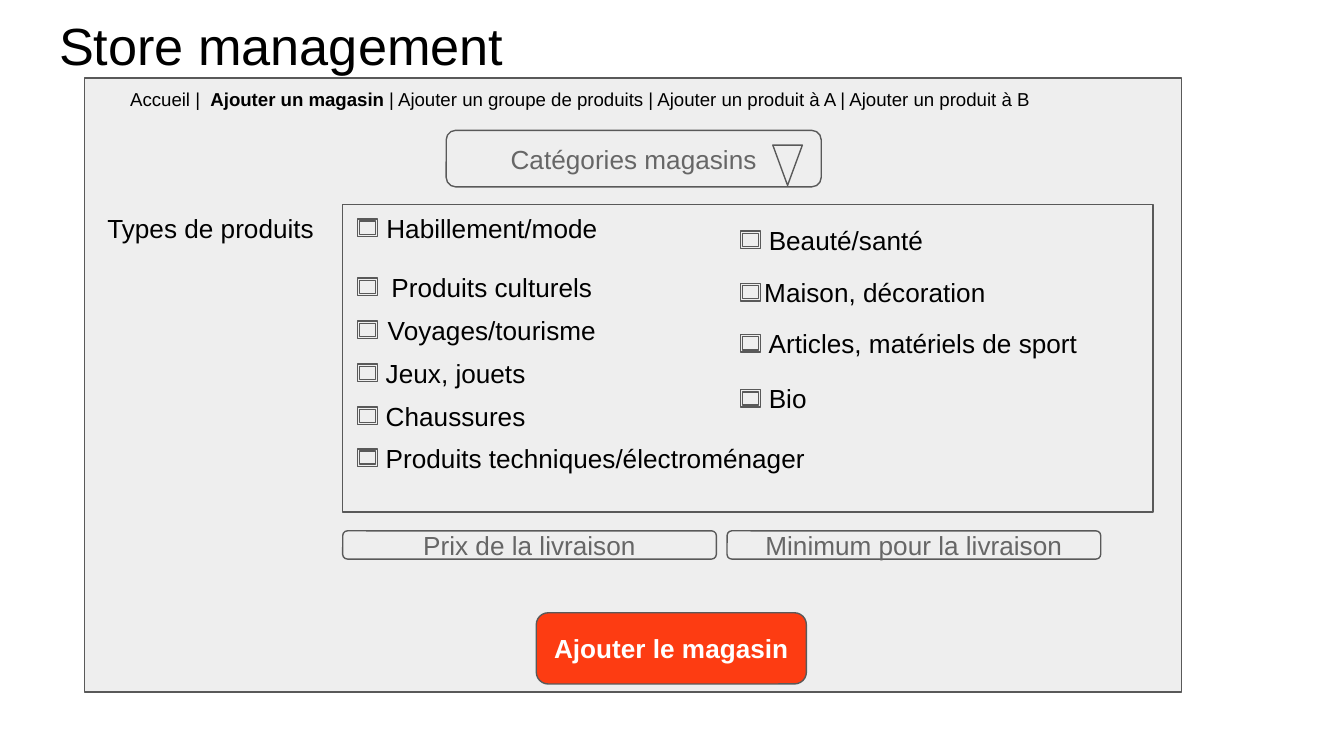
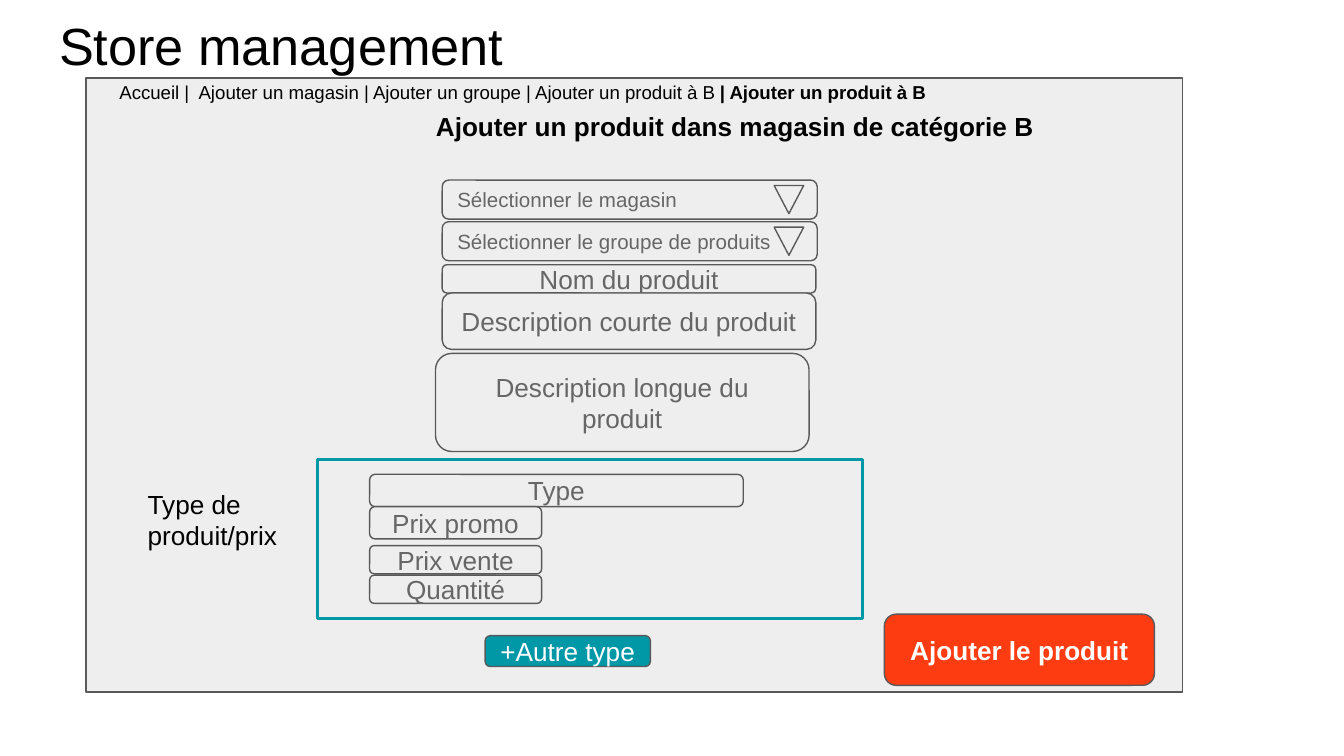
from pptx import Presentation
from pptx.dml.color import RGBColor
from pptx.enum.shapes import MSO_SHAPE as SHAPE
from pptx.enum.text import MSO_ANCHOR as ANCHOR, MSO_AUTO_SIZE as AUTO_SIZE, PP_ALIGN as ALIGN
from pptx.util import Pt

PX = 9144  # 100 px to the inch
WIDTH = 1000
INSET = 10
FONT = "Arial"
COLORS = {
    "text": "000000",
    "hint": "666666",
    "panel": "EEEEEE",
    "line": "595959",
    "action": "FD3C12",
    "accent": "0097A7",
    "white": "FFFFFF",
}


def color(name):
    return RGBColor.from_string(COLORS[name])


def px(*lengths):
    return [n * PX for n in lengths]


def write(shape, text, size=14, fill="text", bold=False, align=ALIGN.LEFT, anchor=ANCHOR.MIDDLE,
          inset=INSET):
    """Fill a shape with text; a list of (text, bold) pairs gives mixed runs."""
    tf = shape.text_frame
    tf.word_wrap = True
    tf.auto_size = AUTO_SIZE.NONE
    tf.vertical_anchor = anchor
    tf.margin_left = inset * PX
    tf.margin_right = tf.margin_top = tf.margin_bottom = INSET * PX
    p = tf.paragraphs[0]
    p.alignment = align
    for part, strong in [(text, bold)] if isinstance(text, str) else text:
        r = p.add_run()
        r.text = part
        r.font.name, r.font.size, r.font.bold = FONT, Pt(size), strong
        r.font.color.rgb = color(fill)


def add_box(s, kind, x, y, w, h, fill="panel", line="line", weight=0.75):
    sp = s.shapes.add_shape(kind, *px(x, y, w, h))
    sp.shadow.inherit = False
    if fill:
        sp.fill.solid()
        sp.fill.fore_color.rgb = color(fill)
    else:
        sp.fill.background()
    sp.line.color.rgb = color(line)
    sp.line.width = Pt(weight)
    return sp


def add_label(s, text, x, y, w, h, **style):
    write(s.shapes.add_textbox(*px(x, y, w, h)), text, **style)


def add_field(s, text, x, y, w, h, background="panel", **style):
    sp = add_box(s, SHAPE.ROUNDED_RECTANGLE, x, y, w, h, fill=background)
    write(sp, text, **{"fill": "hint", "align": ALIGN.CENTER, **style})


def add_dropdown(s, text, x, y, h, arrow, **style):
    """A field with a marker; arrow gives the marker's left, top and height."""
    add_field(s, text, x, y, 279, h, **style)
    left, top, height = arrow
    add_box(s, SHAPE.FLOWCHART_MERGE, x + left, y + top, 22, height)


def add_action(s, text, x, y):
    add_field(s, text, x, y, 201, 53, background="action", fill="white", bold=True)


def add_checkbox(s, text, x, y, w, centered):
    add_box(s, SHAPE.FRAME, x, y, 15, 13)
    add_label(s, text, x + 6, y - 3, w, 19, align=ALIGN.CENTER if centered else ALIGN.LEFT,
              inset=INSET if centered else INSET + 5)


def add_page(prs, x):
    """Start a slide with its title and the grey form panel."""
    s = prs.slides.add_slide(prs.slide_layouts[5])
    title = s.shapes.title
    title.left, title.top, title.width, title.height = px(34, 0, 932, 63)
    write(title, "Store management", size=28, anchor=ANCHOR.TOP)
    add_box(s, SHAPE.RECTANGLE, x, 58, 816, 457)
    return s


def product_types(s, x, y):
    add_box(s, SHAPE.RECTANGLE, x, y, 603, 229)
    columns = {
        11: [("Habillement/mode", 11, 188, True),
             ("Produits culturels", 55, 188, True),
             ("Voyages/tourisme", 87, 188, True),
             ("Jeux, jouets", 119, 188, False),
             ("Chaussures", 151, 188, False),
             ("Produits techniques/électroménager", 182, 388, False)],
        296: [("Beauté/santé", 20, 188, False),
              ("Maison, décoration", 59, 188, True),
              ("Articles, matériels de sport", 97, 287, False),
              ("Bio", 138, 188, False)],
    }
    for dx, items in columns.items():
        for text, dy, w, centered in items:
            add_checkbox(s, text, x + dx, y + dy, w, centered)


def product_details(s, x, y):
    for row, text in enumerate(["Sélectionner le magasin", "Sélectionner le groupe de produits"]):
        add_dropdown(s, text, x, y + 31 * row, 29, (247, 4, 21), size=11, align=ALIGN.LEFT)
    for text, dx, dy, h in [("Nom du produit", 0, 63, 21),
                            ("Description courte du produit", 0, 84, 42),
                            ("Description longue du produit", -5, 129, 73)]:
        add_field(s, text, x + dx, y + dy, 278, h)


def price_block(s, x, y):
    add_box(s, SHAPE.RECTANGLE, x, y, 406, 118, fill=None, line="accent", weight=1.5)
    for text, dy, w, h in [("Type", 11, 278, 24), ("Prix promo", 35, 128, 24),
                           ("Prix vente", 64, 128, 21), ("Quantité", 86, 128, 21)]:
        add_field(s, text, x + 39, y + dy, w, h)
    add_field(s, "+Autre type", x + 125, y + 131, 123, 23, background="accent", fill="white")


def store_slide(prs, x=63, y=58):
    s = add_page(prs, x)
    add_label(s, [("Accueil |  ", False), ("Ajouter un magasin", True),
                  (" | Ajouter un groupe de produits | Ajouter un produit à A"
                   " | Ajouter un produit à B", False)],
              x + 24, y + 1, 788, 29, size=10)
    add_dropdown(s, "Catégories magasins", x + 269, y + 39, 42, (243, 11, 30))
    add_label(s, "Types de produits", x + 7, y + 90, 197, 42, anchor=ANCHOR.TOP)
    product_types(s, x + 192, y + 94)
    for col, text in enumerate(["Prix de la livraison", "Minimum pour la livraison"]):
        add_field(s, text, x + 192 + 286 * col, y + 337, 278, 21)
    add_action(s, "Ajouter le magasin", x + 336, y + 398)


def product_slide(prs, x=64, y=58):
    s = add_page(prs, x)
    add_label(s, [("Accueil |  Ajouter un magasin | Ajouter un groupe | Ajouter un produit à B", False),
                  (" | Ajouter un produit à B", True)],
              x + 15, y, 796, 21, size=10)
    add_label(s, "Ajouter un produit dans magasin de catégorie B", x + 234, y + 21, 498, 29,
              bold=True, align=ALIGN.CENTER)
    product_details(s, x + 265, y + 76)
    add_label(s, "Type de produit/prix", x + 36, y + 297, 155, 17, anchor=ANCHOR.TOP)
    price_block(s, x + 172, y + 284)
    add_action(s, "Ajouter le produit", x + 594, y + 399)


def main():
    prs = Presentation()
    prs.slide_width = WIDTH * PX
    prs.slide_height = prs.slide_width * 9 // 16
    store_slide(prs)
    product_slide(prs)
    prs.save("out.pptx")


if __name__ == "__main__":
    main()
